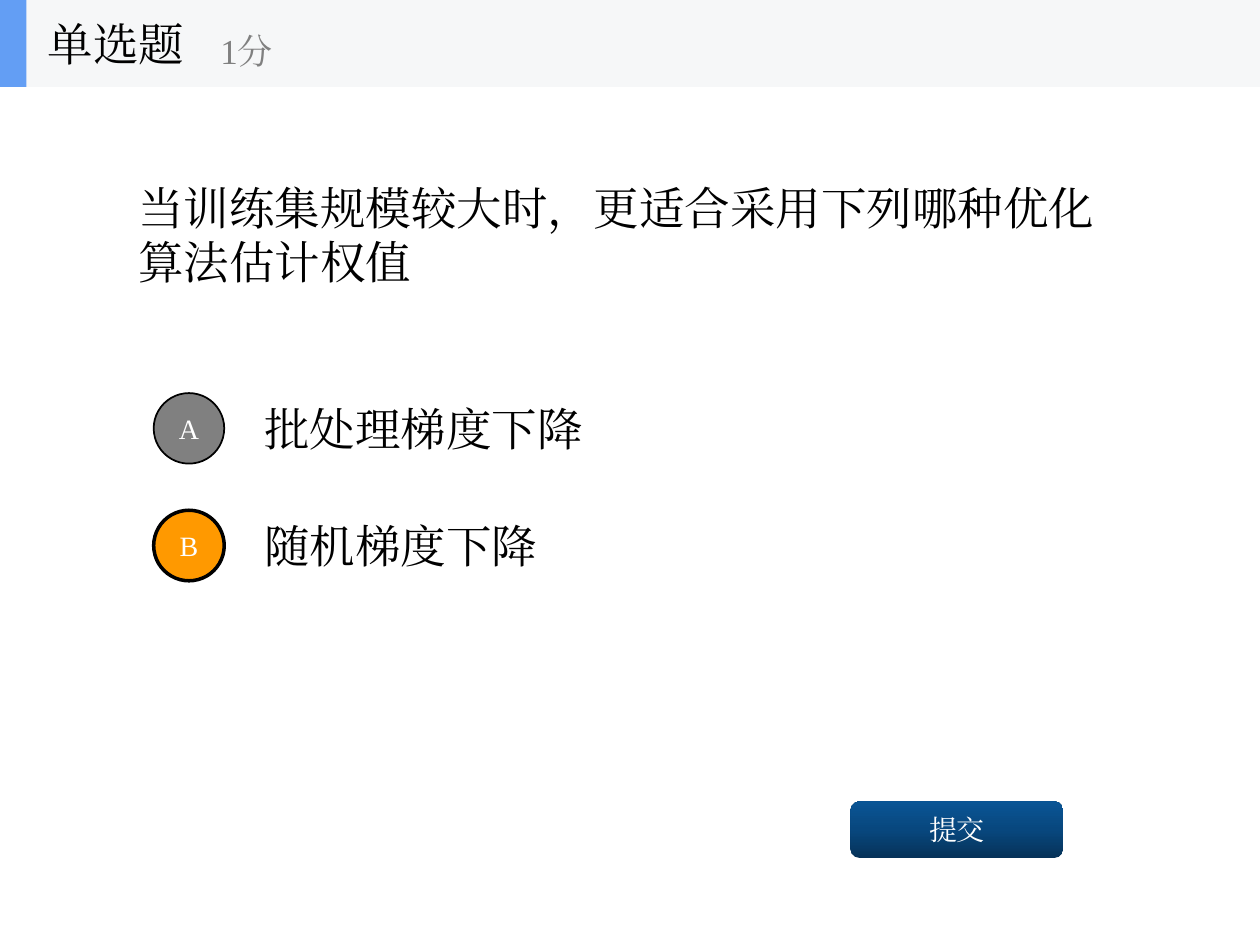
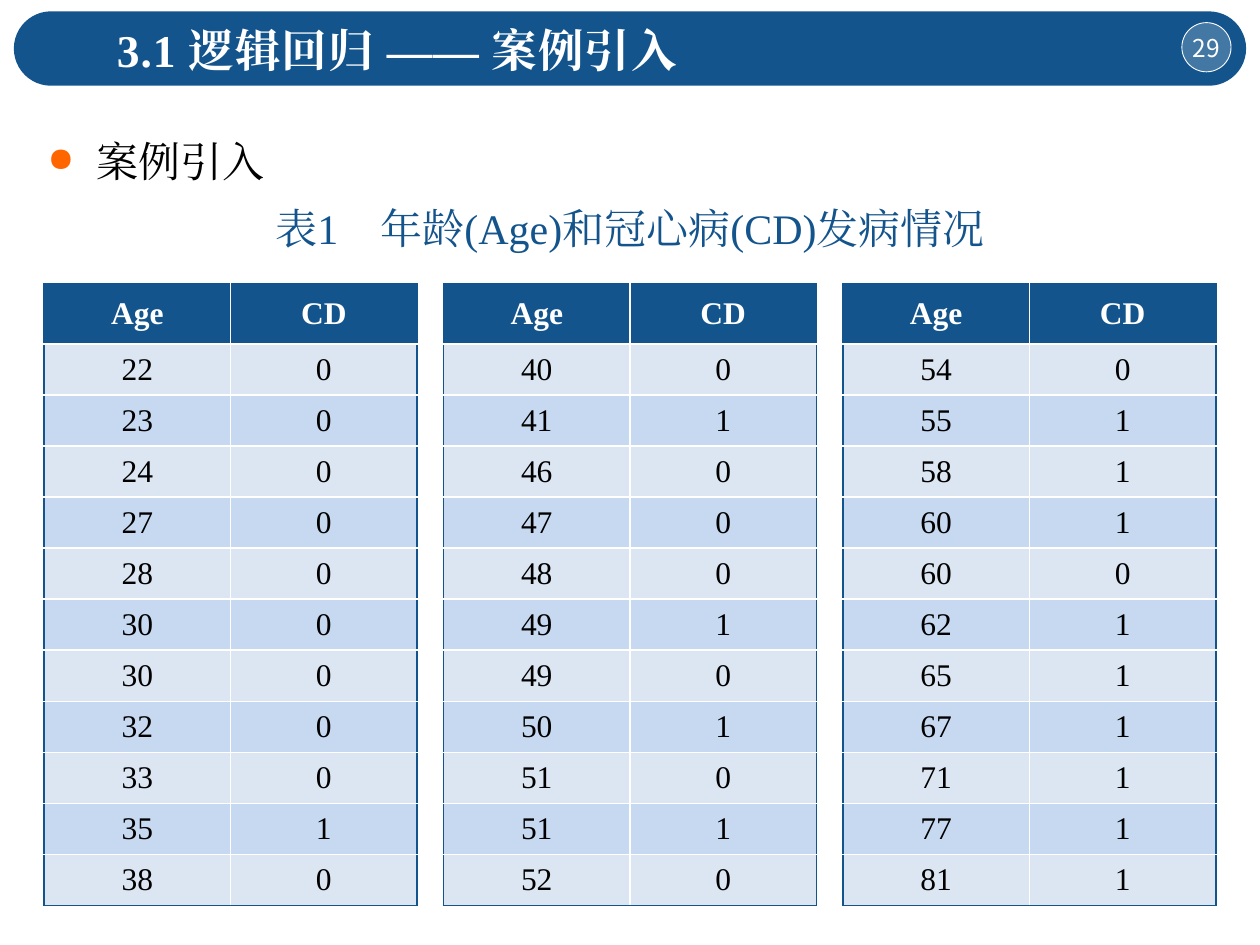
from copy import deepcopy
from dataclasses import dataclass

from lxml.etree import SubElement
from pptx import Presentation
from pptx.dml.color import RGBColor as RGB
from pptx.enum.shapes import MSO_SHAPE as SHAPE
from pptx.enum.text import MSO_ANCHOR as ANCHOR, PP_ALIGN as ALIGN
from pptx.oxml.ns import qn
from pptx.util import Inches, Pt


@dataclass(frozen=True)
class Theme:
    font: str = "Times New Roman"
    number_font: str = "Noto Sans CJK SC"
    white: str = "FFFFFF"
    black: str = "000000"
    navy: str = "13548C"
    grey: str = "808080"
    orange: str = "FF9900"
    bullet: str = "FF6600"
    header: str = "F6F7F8"
    accent: str = "639EF4"
    stripes: tuple = ("DCE6F2", "C6D9F1")
    button: tuple = ("063258", "08477E", "0A5595")
    large: int = 26
    body: int = 24
    points: int = 20
    cell: int = 18
    label: int = 16
    number: int = 14


class Deck:
    COLS, ROWS = 100, 75

    def __init__(self, theme):
        self.theme = theme
        self.prs = Presentation()
        self.prs.slide_width, self.prs.slide_height = Inches(10), Inches(7.5)
        self.slide = None

    def new_slide(self):
        self.slide = self.prs.slides.add_slide(self.prs.slide_layouts[6])

    def x(self, cols):
        return round(self.prs.slide_width * cols / self.COLS)

    def y(self, rows):
        return round(self.prs.slide_height * rows / self.ROWS)

    def box(self, left, top, width, height):
        return self.x(left), self.y(top), self.x(width), self.y(height)

    def put_text(self, tf, text, size, color, align=ALIGN.LEFT, bold=False, font=None):
        p = tf.paragraphs[0]
        p.alignment = align
        r = p.add_run()
        r.text = text
        font = font or self.theme.font
        for name, value in {"size": Pt(size), "bold": bold, "name": font}.items():
            setattr(r.font, name, value)
        r.font.color.rgb = RGB.from_string(color)
        SubElement(r._r.rPr, qn("a:ea"), typeface=font)
        return p

    def text(self, at, text, size, color, anchor=ANCHOR.MIDDLE, **style):
        tf = self.slide.shapes.add_textbox(*self.box(*at)).text_frame
        tf.word_wrap = True
        tf.vertical_anchor = anchor
        return self.put_text(tf, text, size, color, **style)

    def bullet(self, at, text):
        p = self.text(at, text, self.theme.body, self.theme.black,
                      anchor=ANCHOR.TOP, align=ALIGN.JUSTIFY)
        p.line_spacing = 1.5
        pPr = p._p.get_or_add_pPr()
        indent = self.x(3.9)
        pPr.set("marL", str(indent))
        pPr.set("indent", str(-indent))
        clr = SubElement(pPr, qn("a:buClr"))
        SubElement(clr, qn("a:srgbClr"), val=self.theme.bullet)
        SubElement(pPr, qn("a:buSzPct"), val="80000")
        SubElement(pPr, qn("a:buChar"), char="●")

    def shape(self, kind, at, fill=None, line=None, width=1):
        s = self.slide.shapes.add_shape(kind, *self.box(*at))
        s.shadow.inherit = False
        if fill:
            s.fill.solid()
            s.fill.fore_color.rgb = RGB.from_string(fill)
        if line:
            s.line.color.rgb = RGB.from_string(line)
            s.line.width = Pt(width)
        else:
            s.line.fill.background()
        return s

    def label(self, s, text, size, font=None):
        tf = s.text_frame
        for side in ("left", "top", "right", "bottom"):
            setattr(tf, f"margin_{side}", 0)
        tf.vertical_anchor = ANCHOR.MIDDLE
        self.put_text(tf, text, size, self.theme.white, ALIGN.CENTER, font=font)

    def option(self, row, letter, text, fill, width):
        t = self.theme
        self.text((20, row, 70, 7), text, t.large, t.black)
        s = self.shape(SHAPE.OVAL, (12.2, row + 0.7, 5.6, 5.6), fill, t.black, width)
        self.label(s, letter, t.label)

    def button(self, at, text):
        s = self.shape(SHAPE.ROUNDED_RECTANGLE, at)
        s.fill.gradient()
        s.fill.gradient_angle = 90
        stops = s._element.spPr.find(".//" + qn("a:gsLst"))
        stops.insert(1, deepcopy(stops[0]))
        for stop, color, pos in zip(s.fill.gradient_stops, self.theme.button, (0, 0.5, 1)):
            stop.color.rgb = RGB.from_string(color)
            stop.position = pos
        self.label(s, text, self.theme.label)

    def question_header(self, title, points):
        t = self.theme
        self.shape(SHAPE.RECTANGLE, (0, 0, 100, 6.9), t.header)
        self.shape(SHAPE.RECTANGLE, (0, 0, 2.1, 6.9), t.accent)
        self.text((2.8, 0, 20.8, 6.9), title, t.large, t.black)
        self.text((16.5, 1.2, 25, 5.6), points, t.points, t.grey)

    def title_band(self, title, number):
        t = self.theme
        band = self.shape(SHAPE.ROUNDED_RECTANGLE, (1.1, 0.9, 97.8, 5.9), t.navy)
        band.adjustments[0] = 0.5
        badge = self.shape(SHAPE.OVAL, (93.8, 1.8, 3.9, 3.9), t.white, t.white, 0.5)
        color = badge._element.spPr.find(qn("a:solidFill"))[0]
        SubElement(color, qn("a:alpha"), val="21000")
        self.label(badge, number, t.number, t.number_font)
        p = self.text((8.3, 1.2, 74.2, 5.4), title, t.large, t.white, bold=True)
        p.runs[0]._r.rPr.set("spc", "50")

    def borders(self, cell, colors):
        tcPr = cell._tc.get_or_add_tcPr()
        for i, (side, color) in enumerate(colors.items()):
            ln = SubElement(tcPr, qn(f"a:ln{side}"), w=str(Pt(1)))
            SubElement(SubElement(ln, qn("a:solidFill")), qn("a:srgbClr"), val=color)
            tcPr.insert(i, ln)

    def table(self, at, heads, records, head_height):
        t = self.theme
        rows = [heads, *records]
        last_row, last_col = len(rows) - 1, len(heads) - 1
        tbl = self.slide.shapes.add_table(len(rows), len(heads), *self.box(*at)).table
        row_height = (at[3] - head_height) / len(records)
        for i, values in enumerate(rows):
            tbl.rows[i].height = self.y(row_height if i else head_height)
            for j, value in enumerate(values):
                cell = tbl.cell(i, j)
                cell.fill.solid()
                fill = t.stripes[(i - 1) % 2] if i else t.navy
                cell.fill.fore_color.rgb = RGB.from_string(fill)
                cell.vertical_anchor = ANCHOR.MIDDLE
                cell.margin_left = cell.margin_right = self.x(0.7)
                self.put_text(cell.text_frame, str(value), t.cell,
                              t.black if i else t.white, ALIGN.CENTER, bold=i == 0)
                outer = {"L": j == 0, "R": j == last_col, "T": i == 0, "B": i == last_row}
                self.borders(cell, {side: t.navy if edge else t.white
                                    for side, edge in outer.items()})


CASES = (
    ((22, 0), (23, 0), (24, 0), (27, 0), (28, 0), (30, 0),
     (30, 0), (32, 0), (33, 0), (35, 1), (38, 0)),
    ((40, 0), (41, 1), (46, 0), (47, 0), (48, 0), (49, 1),
     (49, 0), (50, 1), (51, 0), (51, 1), (52, 0)),
    ((54, 0), (55, 1), (58, 1), (60, 1), (60, 0), (62, 1),
     (65, 1), (67, 1), (71, 1), (77, 1), (81, 1)),
)


def quiz_slide(deck):
    t = deck.theme
    deck.new_slide()
    deck.question_header("单选题", "1分")
    deck.text((10, 6.9, 80, 23.4), "当训练集规模较大时，更适合采用下列哪种优化算法估计权值",
              t.large, t.black)
    options = (("A", "批处理梯度下降", t.grey, 1), ("B", "随机梯度下降", t.orange, 2))
    for i, option in enumerate(options):
        deck.option(30.5 + 9.3 * i, *option)
    deck.button((67.5, 63.6, 16.9, 4.5), "提交")


def case_slide(deck):
    t = deck.theme
    deck.new_slide()
    deck.title_band("3.1 逻辑回归 —— 案例引入", "29")
    deck.bullet((2.8, 8.3, 90, 6.4), "案例引入")
    caption = deck.text((16.9, 16, 66.2, 4.7), "表1　年龄(Age)和冠心病(CD)发病情况",
                        t.body, t.navy, anchor=ANCHOR.TOP, align=ALIGN.CENTER)
    caption.line_spacing = 0.9
    for i, records in enumerate(CASES):
        deck.table((3.5 + 31.7 * i, 22.5, 29.6, 49.4), ("Age", "CD"), records, 4.8)


def main():
    deck = Deck(Theme())
    quiz_slide(deck)
    case_slide(deck)
    deck.prs.save("out.pptx")


if __name__ == "__main__":
    main()
